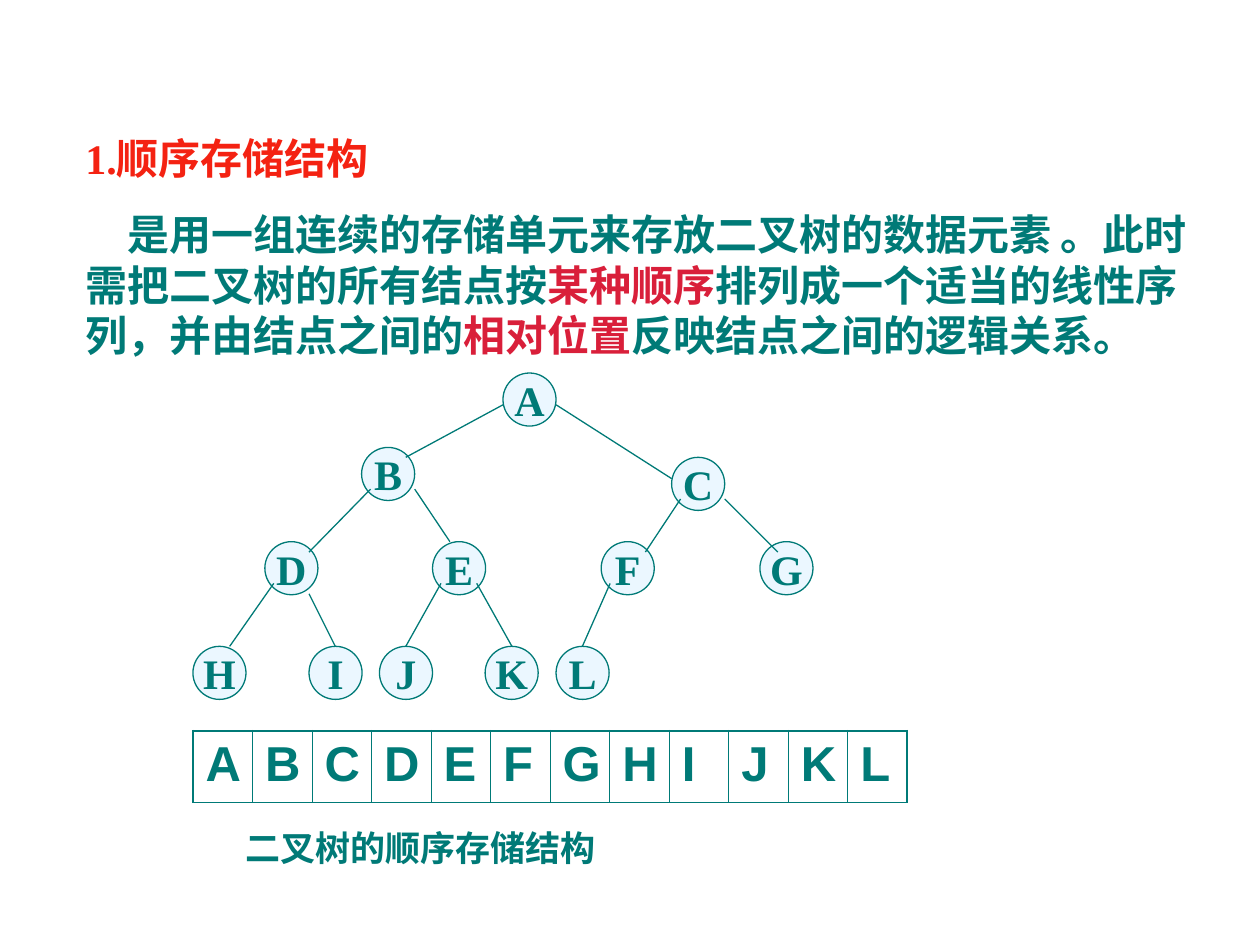
from lxml.etree import SubElement
from pptx import Presentation
from pptx.dml.color import RGBColor
from pptx.enum.shapes import MSO_CONNECTOR, MSO_SHAPE
from pptx.enum.text import MSO_ANCHOR, MSO_AUTO_SIZE, PP_ALIGN
from pptx.oxml.ns import qn
from pptx.util import Cm, Pt

TEAL = RGBColor(0x00, 0x7A, 0x77)
RED = RGBColor(0xF4, 0x22, 0x12)
CRIMSON = RGBColor(0xD9, 0x1F, 0x3A)
PALE_BLUE = RGBColor(0xEB, 0xF7, 0xFF)

SERIF = {"name": "Times New Roman", "size": Pt(24), "bold": True}
CAPTION = {**SERIF, "size": Pt(20)}
CELL = {"name": "Arial", "size": Pt(28), "bold": True}

HEADING = "1.顺序存储结构"
BODY = [
    ("是用一组连续的存储单元来存放二叉树的数据元素 。此时需把二叉树的所有结点按", TEAL),
    ("某种顺序", CRIMSON),
    ("排列成一个适当的线性序列，并由结点之间的", TEAL),
    ("相对位置", CRIMSON),
    ("反映结点之间的逻辑关系。", TEAL),
]

# Tree geometry in cm, relative to the tree's top left corner
NODE_SIZE = 1.07
LEVELS = [
    (0, {"A": 6.25}),
    (1.5, {"B": 3.4}),
    (1.7, {"C": 9.65}),
    (3.4, {"D": 1.45, "E": 4.83, "F": 8.23, "G": 11.43}),
    (5.51, {"H": 0, "I": 2.34, "J": 3.76, "K": 5.89, "L": 7.32}),
]
EDGES = [
    (6.25, 0.64, 4.29, 1.7),     # A-B
    (7.32, 0.64, 9.65, 2.13),    # A-C
    (3.58, 2.34, 2.34, 3.61),    # B-D
    (4.47, 2.34, 5.18, 3.4),     # B-E
    (9.83, 2.54, 9.12, 3.61),    # C-F
    (10.72, 2.54, 11.79, 3.61),  # C-G
    (1.63, 4.24, 0.74, 5.51),    # D-H
    (2.34, 4.45, 2.87, 5.51),    # D-I
    (5, 4.24, 4.29, 5.51),       # E-J
    (5.72, 4.24, 6.43, 5.51),    # E-K
    (8.41, 4.24, 7.85, 5.51),    # F-L
]


def add_span(para, text, style, color=TEAL):
    span = para.add_run()
    span.text = text
    for name, value in style.items():
        setattr(span.font, name, value)
    span.font.color.rgb = color


def add_text_frame(page, left, top, width, height):
    box = page.shapes.add_textbox(Cm(left), Cm(top), Cm(width), Cm(height))
    frame = box.text_frame
    frame.word_wrap = True
    frame.auto_size = MSO_AUTO_SIZE.SHAPE_TO_FIT_TEXT
    return frame


def add_explanation(page, left, top, width, height):
    frame = add_text_frame(page, left, top, width, height)
    add_span(frame.paragraphs[0], HEADING, SERIF, RED)
    para = frame.add_paragraph()
    para.space_before = Pt(15)
    para._p.get_or_add_pPr().set("indent", str(Pt(24)))
    for text, color in BODY:
        add_span(para, text, SERIF, color)


def add_node(page, letter, left, top):
    node = page.shapes.add_shape(
        MSO_SHAPE.OVAL, Cm(left), Cm(top), Cm(NODE_SIZE), Cm(NODE_SIZE))
    node.shadow.inherit = False
    node.fill.solid()
    node.fill.fore_color.rgb = PALE_BLUE
    node.line.color.rgb = TEAL
    node.line.width = Pt(0.75)
    frame = node.text_frame
    frame.word_wrap = False
    frame.vertical_anchor = MSO_ANCHOR.MIDDLE
    para = frame.paragraphs[0]
    para.alignment = PP_ALIGN.CENTER
    add_span(para, letter, SERIF)


def add_tree(page, left, top):
    for level_top, nodes in LEVELS:
        for letter, node_left in nodes.items():
            add_node(page, letter, left + node_left, top + level_top)
    for x1, y1, x2, y2 in EDGES:
        edge = page.shapes.add_connector(
            MSO_CONNECTOR.STRAIGHT,
            Cm(left + x1), Cm(top + y1), Cm(left + x2), Cm(top + y2))
        edge.line.color.rgb = TEAL
        edge.line.width = Pt(0.75)
        SubElement(edge._element.spPr, qn("a:effectLst"))


def set_borders(cell, widths):
    properties = cell._tc.get_or_add_tcPr()
    for position, (side, width) in enumerate(widths.items()):
        border = SubElement(properties, qn(f"a:ln{side}"), w=str(Pt(width)))
        properties.insert(position, border)
        fill = SubElement(border, qn("a:solidFill"))
        SubElement(fill, qn("a:srgbClr"), val=str(TEAL))


def add_storage_array(page, left, top, width, height):
    letters = "ABCDEFGHIJKL"
    table = page.shapes.add_table(
        1, len(letters), Cm(left), Cm(top), Cm(width), Cm(height)).table
    table.first_row = table.horz_banding = False
    thin, thick = 0.45, 1.08
    last = len(letters) - 1
    for index, letter in enumerate(letters):
        table.columns[index].width = Cm(width / len(letters))
        cell = table.cell(0, index)
        cell.fill.background()
        set_borders(cell, {
            "L": thick if index == 0 else thin,
            "R": thick if index == last else thin,
            "T": thick,
            "B": thick,
        })
        add_span(cell.text_frame.paragraphs[0], letter, CELL)


def add_caption(page, left, top, width, height):
    frame = add_text_frame(page, left, top, width, height)
    add_span(frame.paragraphs[0], "二叉树的顺序存储结构", CAPTION)


def main():
    deck = Presentation()
    deck.slide_width, deck.slide_height = Cm(25.4), Cm(19.05)
    page = deck.slides.add_slide(deck.slide_layouts[6])
    add_explanation(page, 1.47, 2.54, 23.06, 4.85)
    add_tree(page, 3.89, 7.52)
    add_storage_array(page, 3.89, 14.73, 14.4, 1.45)
    add_caption(page, 4.7, 16.54, 12.07, 1.12)
    deck.save("out.pptx")


if __name__ == "__main__":
    main()
